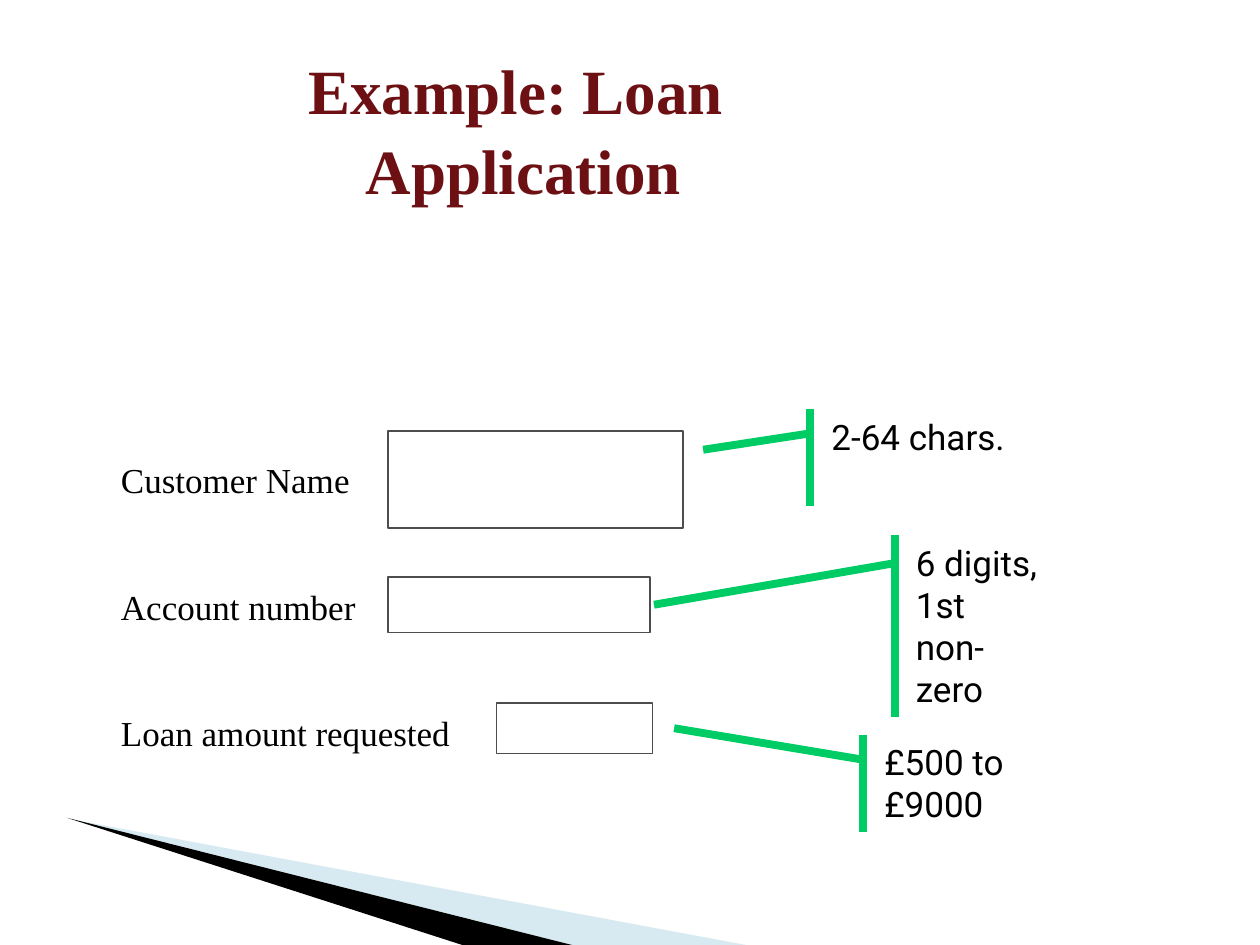
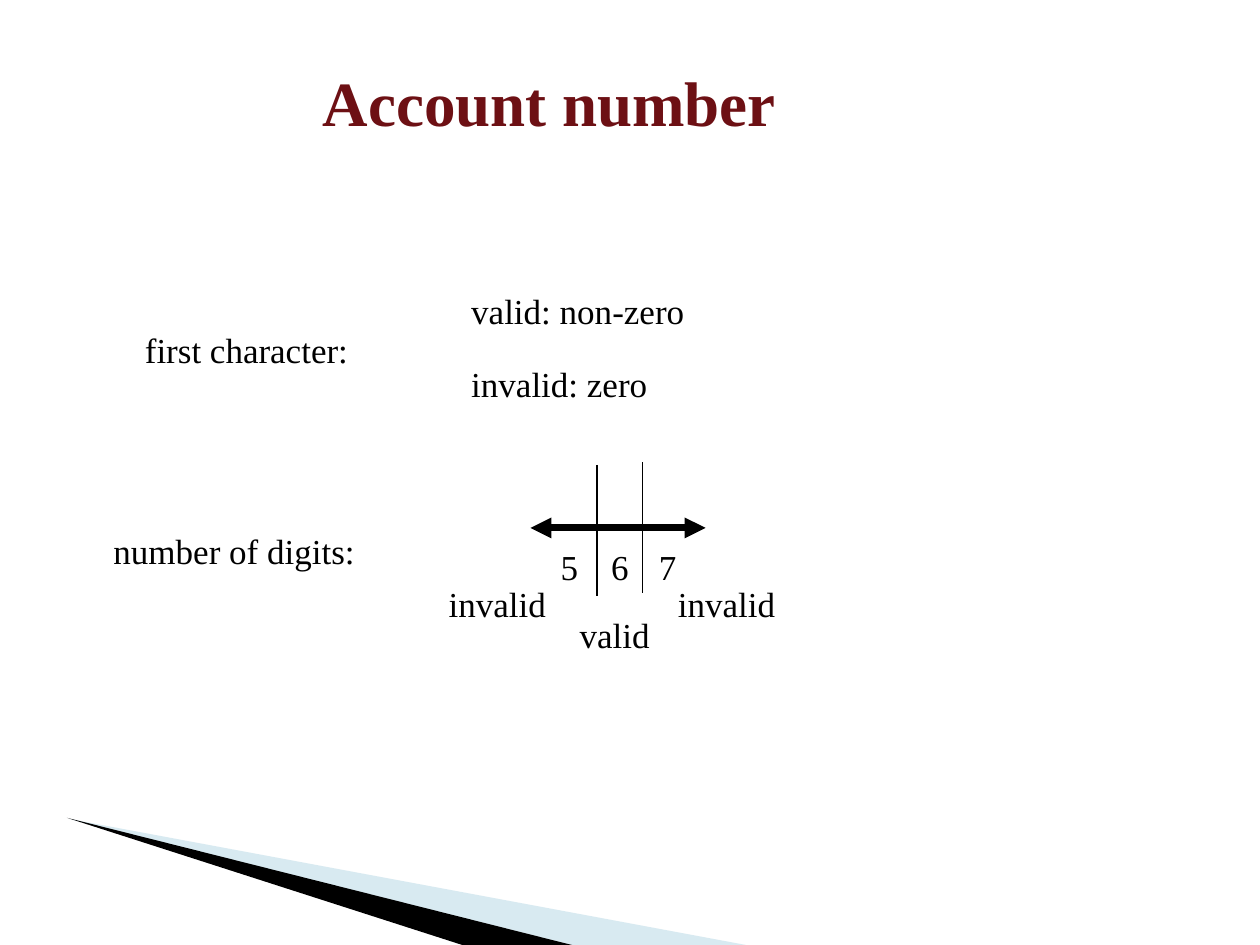
from typing import NamedTuple

from lxml import etree
from pptx import Presentation
from pptx.dml.color import RGBColor
from pptx.enum.shapes import MSO_CONNECTOR, MSO_SHAPE
from pptx.enum.text import MSO_ANCHOR, MSO_AUTO_SIZE, PP_ALIGN
from pptx.oxml.ns import qn
from pptx.util import Inches, Pt

STRAIGHT = MSO_CONNECTOR.STRAIGHT
RECTANGLE = MSO_SHAPE.RECTANGLE
ACCENT_CALLOUT = MSO_SHAPE.LINE_CALLOUT_1_ACCENT_BAR
CENTER, LEFT = PP_ALIGN.CENTER, PP_ALIGN.LEFT
TOP = MSO_ANCHOR.TOP
NO_AUTOFIT = MSO_AUTO_SIZE.NONE

COLORS = {
    "title": "6D1014",
    "text": "000000",
    "callout": "00CC66",
    "field": "4D4D4D",
    "paper": "FFFFFF",
    "band_light": "9FCBDC",
    "band_dark": "000000",
}
SERIF, SANS = "Times New Roman", "Roboto"
BODY_SIZE = 20


class Area(NamedTuple):
    left: float
    top: float
    width: float
    height: float

    def inches(self) -> list:
        return [Inches(value) for value in self]


class Band(NamedTuple):
    color: str
    points: list
    opacity: int


class Label(NamedTuple):
    text: str
    area: Area
    wrap: bool = False


class Callout(NamedTuple):
    lines: list
    area: Area
    target: tuple
    joint: float


BANDS = [
    Band("band_light", [(0.55, 6.5), (5.92, 7.5), (4.54, 7.5)], 40),
    Band("band_dark", [(0.53, 6.49), (4.54, 7.5), (3.67, 7.5)], 100),
]

FORM_FIELDS = [
    Area(3.08, 3.42, 2.34, 0.77),
    Area(3.08, 4.58, 2.08, 0.44),
    Area(3.94, 5.58, 1.24, 0.4),
]
FIELD_NAMES = ["Customer Name", "Account number", "Loan amount requested"]
FIELD_RULES = [
    Callout(["2-64 chars."], Area(6.5, 3.25, 1.62, 0.77), (5.58, 3.57), 3.44),
    Callout(["6 digits, 1st", "non-zero"], Area(7.17, 4.25, 1.25, 1.44),
            (5.19, 4.8), 4.47),
    Callout(["£500 to £9000"], Area(6.92, 5.83, 1.6, 0.77), (5.35, 5.78), 6.03),
]

ACCOUNT_LABELS = [
    Label("first character:", Area(1.08, 2.58, 2.77, 0.38), True),
    Label("valid: non-zero", Area(3.67, 2.27, 1.83, 0.4)),
    Label("invalid: zero", Area(3.67, 2.85, 1.54, 0.4)),
    Label("number of digits:", Area(0.83, 4.17, 2.3, 0.38), True),
    Label("5", Area(4.38, 4.3, 0.28, 0.38)),
    Label("6", Area(4.78, 4.3, 0.28, 0.38)),
    Label("7", Area(5.16, 4.3, 0.28, 0.38)),
    Label("invalid", Area(3.49, 4.59, 0.91, 0.38)),
    Label("valid", Area(4.53, 4.84, 0.7, 0.38)),
    Label("invalid", Area(5.31, 4.59, 0.91, 0.38)),
]
DIGIT_LIMITS = [(4.74, 3.69), (5.1, 3.67)]
LIMIT_HEIGHT = 1.04


def rgb(name: str) -> RGBColor:
    return RGBColor.from_string(COLORS[name])


def set_text(frame, lines: list, font_name: str = SERIF, size: int = BODY_SIZE,
             color: str = "text", bold: bool = False, align=LEFT,
             inset: tuple = (0.07, 0.03), wrap: bool = True) -> None:
    frame.auto_size = NO_AUTOFIT
    frame.word_wrap = wrap
    frame.vertical_anchor = TOP
    frame.margin_left = frame.margin_right = Inches(inset[0])
    frame.margin_top = frame.margin_bottom = Inches(inset[1])
    frame.text = "\n".join(lines)
    for para in frame.paragraphs:
        para.alignment = align
        para.font.name = font_name
        para.font.size = Pt(size)
        para.font.bold = bold
        para.font.color.rgb = rgb(color)


def add_bands(page) -> None:
    for band in BANDS:
        points = [(Inches(x), Inches(y)) for x, y in band.points]
        builder = page.shapes.build_freeform(*points[0], scale=1.0)
        builder.add_line_segments(points[1:], close=True)
        shape = builder.convert_to_shape()
        shape.shadow.inherit = False
        shape.line.fill.background()
        shape.fill.solid()
        shape.fill.fore_color.rgb = rgb(band.color)
        if band.opacity < 100:
            tint = shape.fill._xPr.find(".//" + qn("a:srgbClr"))
            etree.SubElement(tint, qn("a:alpha"), val=str(band.opacity * 1000))


def add_page(deck, title_lines: list, title_area: Area):
    page = deck.slides.add_slide(deck.slide_layouts.get_by_name("Title Only"))
    add_bands(page)
    title = page.shapes.title
    title.left, title.top, title.width, title.height = title_area.inches()
    set_text(title.text_frame, title_lines, size=36, color="title", bold=True,
             align=CENTER)
    for para in title.text_frame.paragraphs:
        para.line_spacing = 1.05
    return page


def add_label(page, label: Label):
    box = page.shapes.add_textbox(*label.area.inches())
    set_text(box.text_frame, [label.text], wrap=label.wrap)


def add_field(page, area: Area) -> None:
    field = page.shapes.add_shape(RECTANGLE, *area.inches())
    field.shadow.inherit = False
    field.fill.background()
    field.line.color.rgb = rgb("field")
    field.line.width = Pt(1)


def add_callout(page, callout: Callout) -> None:
    """Draw a note whose accent bar is joined by a leader to its target."""
    area = callout.area
    shape = page.shapes.add_shape(ACCENT_CALLOUT, *area.inches())
    shape.shadow.inherit = False
    shape.fill.solid()
    shape.fill.fore_color.rgb = rgb("paper")
    shape.line.color.rgb = rgb("callout")
    shape.line.width = Pt(4.5)
    bar_x = area.left - 0.07
    for index, (x, y) in enumerate([(bar_x, callout.joint), callout.target]):
        shape.adjustments[2 * index] = (y - area.top) / area.height
        shape.adjustments[2 * index + 1] = (x - area.left) / area.width
    set_text(shape.text_frame, callout.lines, SANS, inset=(0.1, 0.05))


def add_line(page, start: tuple, end: tuple, width: float,
             arrows: bool = False) -> None:
    line = page.shapes.add_connector(
        STRAIGHT, *(Inches(value) for value in start + end))
    line.line.color.rgb = rgb("text")
    line.line.width = Pt(width)
    if arrows:
        for tag in ("a:headEnd", "a:tailEnd"):
            etree.SubElement(line.line._get_or_add_ln(), qn(tag), type="triangle")
    properties = line._element.spPr
    etree.SubElement(properties, qn("a:effectLst"))


def build_loan_page(deck) -> None:
    page = add_page(deck, ["Example: Loan ", "Application"],
                    Area(0, 0.35, 8.31, 0.8))
    names = page.shapes.add_textbox(*Area(0.89, 3.61, 2.9, 2.4).inches())
    set_text(names.text_frame, FIELD_NAMES)
    for para in names.text_frame.paragraphs[1:]:
        para.space_before = Pt(48.4)
    for area in FORM_FIELDS:
        add_field(page, area)
    for callout in FIELD_RULES:
        add_callout(page, callout)


def build_account_page(deck) -> None:
    page = add_page(deck, ["Account number"], Area(1.75, 0.44, 5.22, 0.8))
    add_line(page, (4.21, 4.19), (5.6, 4.19), 4, arrows=True)
    for x, top in DIGIT_LIMITS:
        add_line(page, (x, top), (x, top + LIMIT_HEIGHT), 1)
    for label in ACCOUNT_LABELS:
        add_label(page, label)


def main() -> None:
    deck = Presentation()
    deck.slide_width, deck.slide_height = Inches(10), Inches(7.5)
    build_loan_page(deck)
    build_account_page(deck)
    deck.save("out.pptx")


if __name__ == "__main__":
    main()
